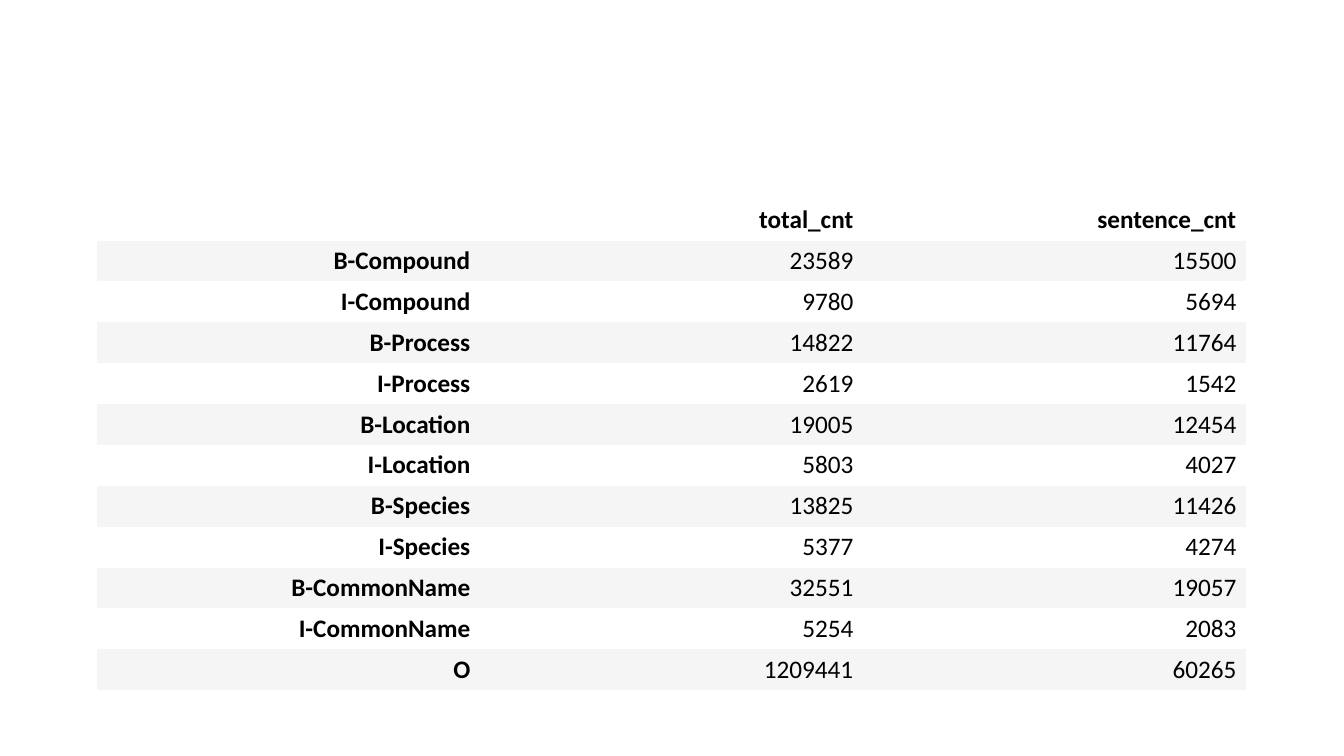
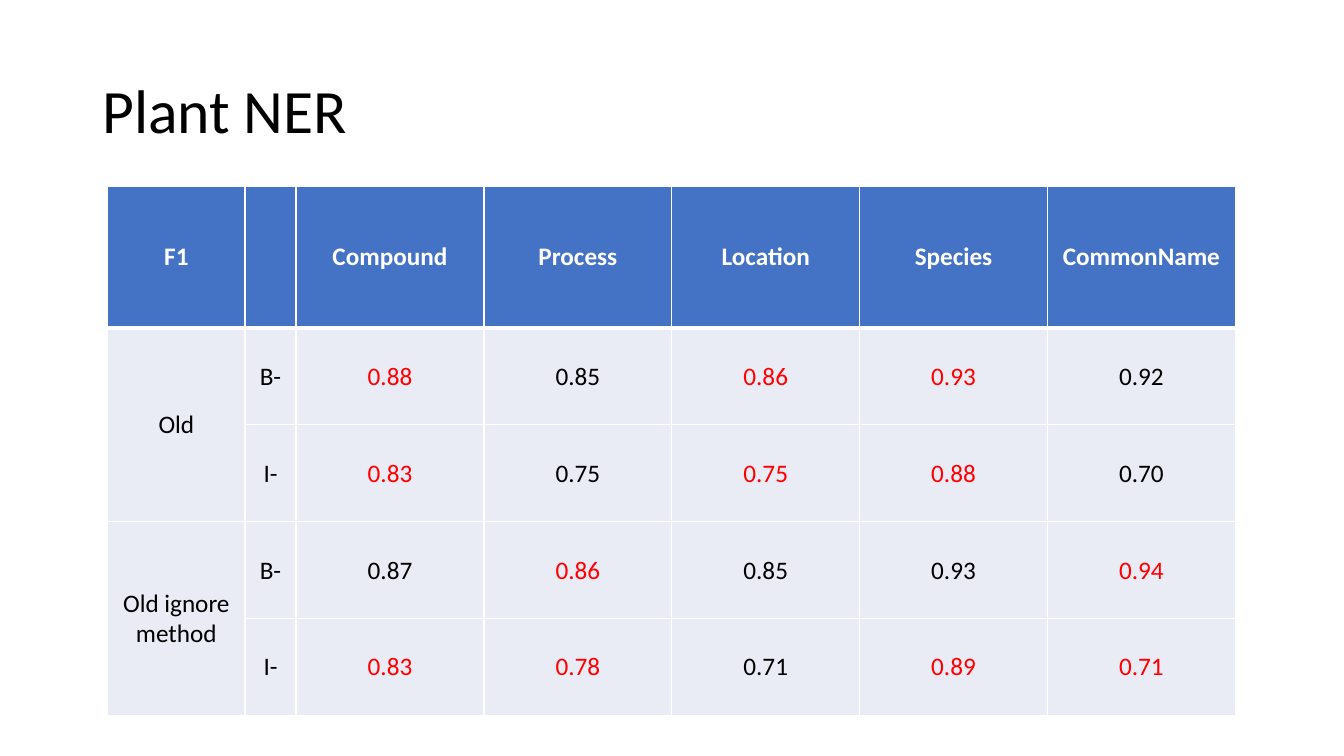
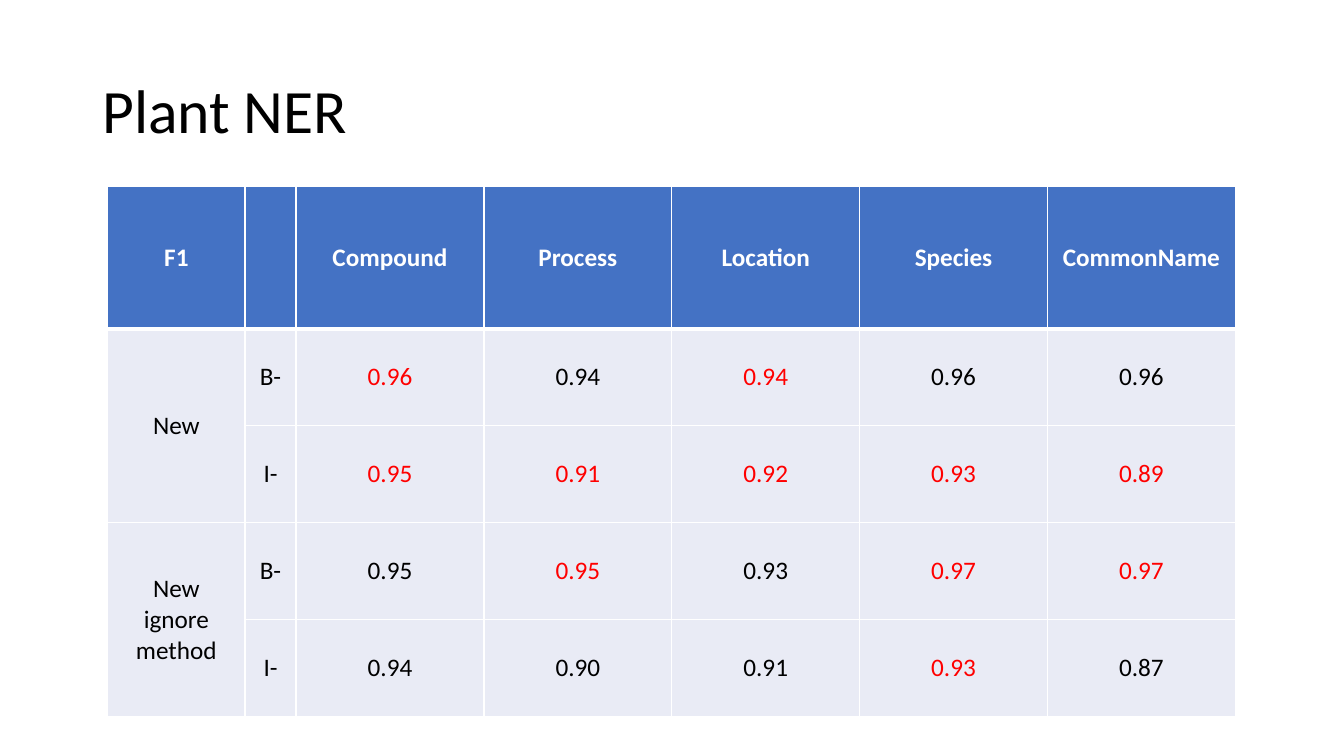
"""Build three slides of plant entity counts and F1 scores."""
from dataclasses import dataclass

from lxml.etree import SubElement
from pptx import Presentation
from pptx.dml.color import RGBColor
from pptx.enum.text import MSO_ANCHOR, PP_ALIGN
from pptx.oxml.ns import qn
from pptx.util import Pt


@dataclass(frozen=True)
class Theme:
    """Colours, font and type sizes shared by the slides."""
    font: str = "Calibri"
    title_size: float = 44
    body_size: float = 18
    black: str = "000000"
    white: str = "FFFFFF"
    red: str = "FF0000"
    header: str = "4472C4"
    body: str = "E9EBF5"
    band: str = "F5F5F5"
    plain_style: str = "{2D5ABB26-0587-4C30-8999-92F81FD0307C}"


THEME = Theme()
TITLE_BOX = (66, 28.8, 828, 104.4)
COUNT_BOX = (69.6, 142.6, 820.8, 344.88)
SCORE_LEFT, SCORE_TOP = 77, 133.4
SCORE_COLS = [98, 36.5] + [134.2] * 5
SCORE_ROW = 69.3

COUNTS = [
    ("", "total_cnt", "sentence_cnt"),
    ("B-Compound", "23589", "15500"),
    ("I-Compound", "9780", "5694"),
    ("B-Process", "14822", "11764"),
    ("I-Process", "2619", "1542"),
    ("B-Location", "19005", "12454"),
    ("I-Location", "5803", "4027"),
    ("B-Species", "13825", "11426"),
    ("I-Species", "5377", "4274"),
    ("B-CommonName", "32551", "19057"),
    ("I-CommonName", "5254", "2083"),
    ("O", "1209441", "60265"),
]
SCORE_HEAD = ("F1", "", "Compound", "Process", "Location", "Species", "CommonName")
OLD_SCORES = [
    ("Old", "B-", "0.88*", "0.85", "0.86*", "0.93*", "0.92"),
    ("", "I-", "0.83*", "0.75", "0.75*", "0.88*", "0.70"),
    ("Old ignore method", "B-", "0.87", "0.86*", "0.85", "0.93", "0.94*"),
    ("", "I-", "0.83*", "0.78*", "0.71", "0.89*", "0.71*"),
]
NEW_SCORES = [
    ("New", "B-", "0.96*", "0.94", "0.94*", "0.96", "0.96"),
    ("", "I-", "0.95*", "0.91*", "0.92*", "0.93*", "0.89*"),
    ("New ignore method", "B-", "0.95", "0.95*", "0.93", "0.97*", "0.97*"),
    ("", "I-", "0.94", "0.90", "0.91", "0.93*", "0.87"),
]


def write_text(tf, text, size=THEME.body_size, color=THEME.black, bold=False,
               align=PP_ALIGN.LEFT, spacing=None):
    """Write one formatted paragraph into a text frame."""
    p = tf.paragraphs[0]
    p.alignment = align
    p.line_spacing = spacing
    p.font.size = Pt(size)
    if text:
        r = p.add_run()
        r.text = text
        r.font.name = THEME.font
        r.font.size = Pt(size)
        r.font.bold = bold
        r.font.color.rgb = RGBColor.from_string(color)


def set_borders(cell, **widths):
    """Draw white borders on a cell, given a width for each side."""
    tc_pr = cell._tc.get_or_add_tcPr()
    for side, width in widths.items():
        ln = SubElement(tc_pr, qn(f"a:ln{side}"), w=str(Pt(width)))
        fill = SubElement(ln, qn("a:solidFill"))
        SubElement(fill, qn("a:srgbClr"), val=THEME.white)


def fill_cell(cell, text, fill, **text_format):
    """Give a cell its fill and its vertically centred text."""
    cell.fill.solid()
    cell.fill.fore_color.rgb = RGBColor.from_string(fill)
    cell.vertical_anchor = MSO_ANCHOR.MIDDLE
    write_text(cell.text_frame, text, **text_format)


def add_plain_table(slide, left, top, col_widths, row_heights):
    """Add an unstyled table with the given column widths and row heights."""
    table = slide.shapes.add_table(
        len(row_heights), len(col_widths), Pt(left), Pt(top),
        Pt(sum(col_widths)), Pt(sum(row_heights))).table
    table._tbl.tblPr.find(qn("a:tableStyleId")).text = THEME.plain_style
    table.first_row = table.horz_banding = False
    for col, width in zip(table.columns, col_widths):
        col.width = Pt(width)
    for row, height in zip(table.rows, row_heights):
        row.height = Pt(height)
    return table


def add_title(slide, text, box):
    """Place the slide title in its box."""
    tf = slide.shapes.add_textbox(*map(Pt, box)).text_frame
    tf.word_wrap = True
    tf.vertical_anchor = MSO_ANCHOR.MIDDLE
    write_text(tf, text, size=THEME.title_size, spacing=0.9)


def add_count_table(slide, rows, box):
    """Place the banded table of counts in its box."""
    left, top, width, height = box
    n_cols = len(rows[0])
    table = add_plain_table(slide, left, top, [width / n_cols] * n_cols,
                            [height / len(rows)] * len(rows))
    for i, row in enumerate(rows):
        for j, text in enumerate(row):
            fill_cell(table.cell(i, j), text, THEME.band if i % 2 else THEME.white,
                      bold=i == 0 or j == 0, align=PP_ALIGN.RIGHT)


def add_score_table(slide, rows, left, top, header_height):
    """Place the F1 table, where a starred score is shown in red."""
    table = add_plain_table(slide, left, top, SCORE_COLS,
                            [header_height] + [SCORE_ROW] * len(rows))
    for i, row in enumerate([SCORE_HEAD] + rows):
        for j, text in enumerate(row):
            cell = table.cell(i, j)
            is_head = i == 0
            set_borders(cell, L=1, R=1, T=3 if i == 1 else 1, B=3 if is_head else 1)
            color = THEME.red if text.endswith("*") else THEME.black
            fill_cell(cell, text.rstrip("*"), THEME.header if is_head else THEME.body,
                      color=THEME.white if is_head else color,
                      bold=is_head, align=PP_ALIGN.CENTER)
    for i in range(1, len(rows), 2):
        table.cell(i, 0).merge(table.cell(i + 1, 0))


def add_score_slide(slide, rows, header_height):
    """Fill a slide with the title and a table of F1 scores."""
    add_title(slide, "Plant NER", TITLE_BOX)
    add_score_table(slide, rows, SCORE_LEFT, SCORE_TOP, header_height)


def main():
    """Build and save the presentation."""
    prs = Presentation()
    prs.slide_width, prs.slide_height = Pt(960), Pt(540)
    count_slide, old_slide, new_slide = (
        prs.slides.add_slide(prs.slide_layouts[6]) for _ in range(3))
    add_count_table(count_slide, COUNTS, COUNT_BOX)
    add_score_slide(old_slide, OLD_SCORES, 100.8)
    add_score_slide(new_slide, NEW_SCORES, 101.5)
    prs.save("out.pptx")


if __name__ == "__main__":
    main()
